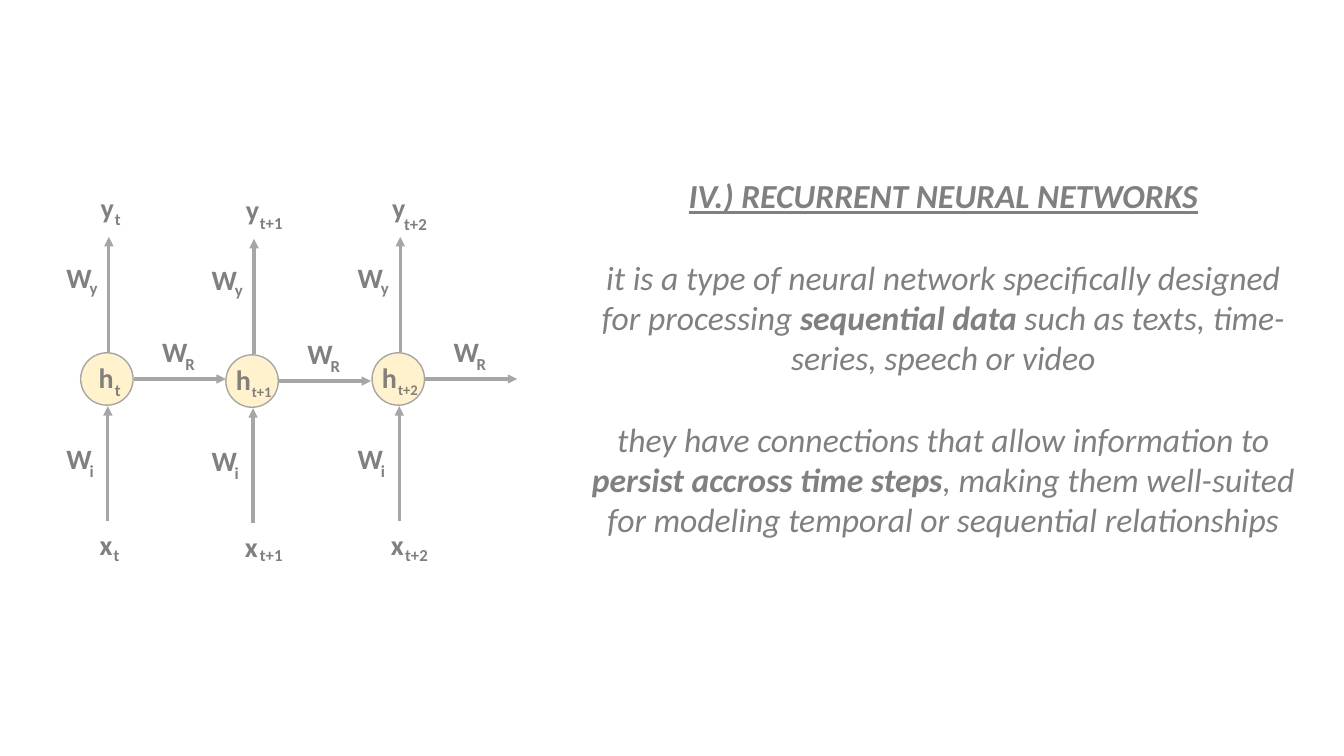
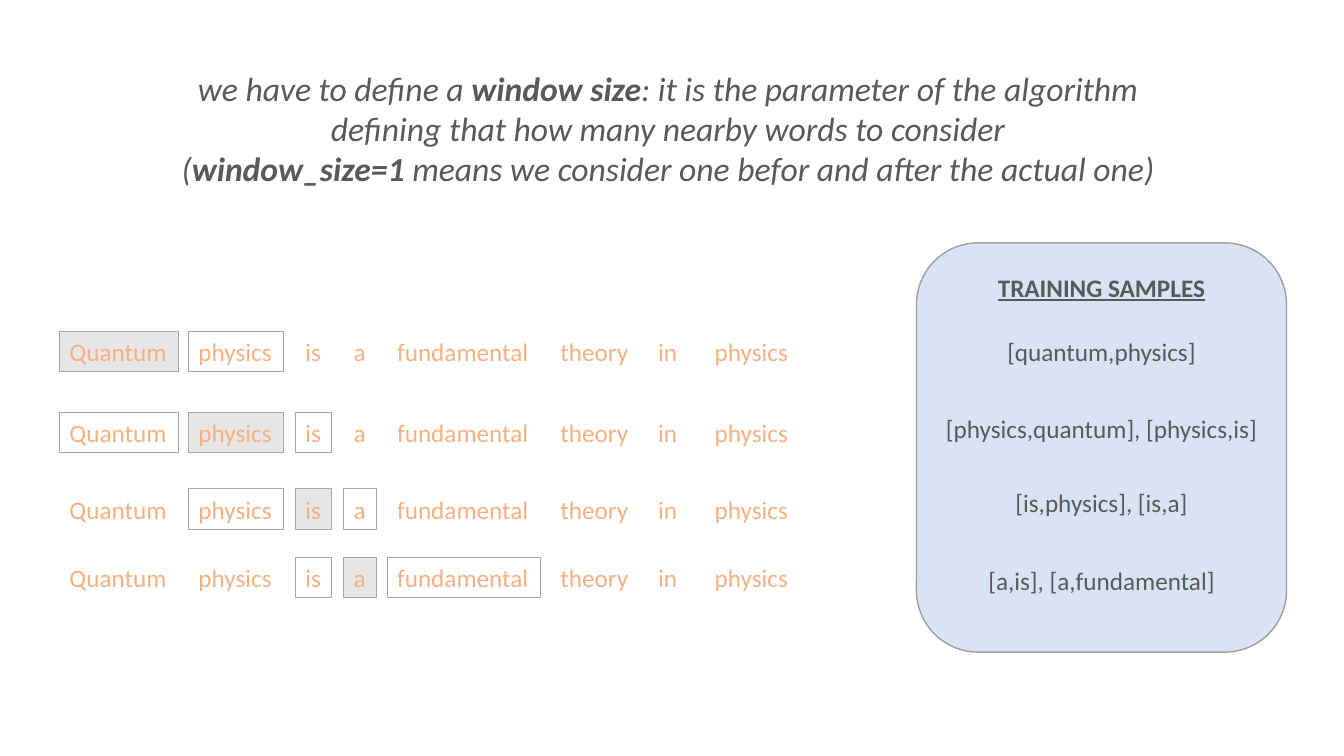
from lxml.etree import SubElement
from pptx import Presentation
from pptx.dml.color import RGBColor
from pptx.enum.shapes import MSO_CONNECTOR, MSO_SHAPE
from pptx.enum.text import MSO_ANCHOR, MSO_AUTO_SIZE, PP_ALIGN
from pptx.oxml.ns import qn
from pptx.util import Pt

PX = 9144  # EMU in one px, 100 px to the inch
GREY = RGBColor(0x80, 0x80, 0x80)
DARK = RGBColor(0x59, 0x59, 0x59)
LINE = RGBColor(0xA6, 0xA6, 0xA6)
PANEL_LINE = RGBColor(0x9F, 0x9E, 0x9C)
CREAM = RGBColor(0xFF, 0xF2, 0xCC)
PALE_BLUE = RGBColor(0xDA, 0xE3, 0xF3)
PALE_GREY = RGBColor(0xE7, 0xE6, 0xE6)
ORANGE = RGBColor(0xF4, 0xB1, 0x83)

# Widths of the text boxes around each symbol
SYMBOL_WIDTHS = {"x": 33, "h": 35, "y": 34, "W": 46}
INDEX_WIDTHS = {"t": 26, "t+1": 43, "t+2": 43, "i": 24, "y": 28, "R": 30}


class Deck:
    """Holds the shared style and the current page."""

    font = "Calibri"

    def __init__(self, width, height):
        self.deck = Presentation()
        self.deck.slide_width = width * PX
        self.deck.slide_height = height * PX
        self.page = None

    def new_page(self):
        self.page = self.deck.slides.add_slide(self.deck.slide_layouts[6])

    def put_text(self, box, paragraphs, size, color, align=PP_ALIGN.LEFT, wrap=False,
                 italic=False, gap=0):
        """Fill a box; parts between asterisks are bold."""
        frame = box.text_frame
        frame.word_wrap = wrap
        frame.auto_size = MSO_AUTO_SIZE.SHAPE_TO_FIT_TEXT
        frame.vertical_anchor = MSO_ANCHOR.TOP
        for index, text in enumerate(paragraphs):
            para = frame.add_paragraph() if index else frame.paragraphs[0]
            para.alignment = align
            if index and gap:
                para.space_before = Pt(gap)
            for part, words in enumerate(text.split("*")):
                if words:
                    span = para.add_run()
                    span.text = words
                    span.font.name = self.font
                    span.font.size = Pt(size)
                    span.font.bold = part % 2 == 1
                    span.font.italic = italic
                    span.font.color.rgb = color

    def text(self, left, top, width, height, paragraphs, size, color, **style):
        box = self.page.shapes.add_textbox(left * PX, top * PX, width * PX, height * PX)
        self.put_text(box, paragraphs, size, color, **style)
        return box

    def shape(self, kind, left, top, width, height, fill=None, line=LINE, weight=1):
        shape = self.page.shapes.add_shape(kind, left * PX, top * PX, width * PX, height * PX)
        shape.shadow.inherit = False
        if fill is None:
            shape.fill.background()
        else:
            shape.fill.solid()
            shape.fill.fore_color.rgb = fill
        shape.line.color.rgb = line
        shape.line.width = Pt(weight)
        return shape

    def arrow(self, x1, y1, x2, y2):
        arrow = self.page.shapes.add_connector(
            MSO_CONNECTOR.STRAIGHT, x1 * PX, y1 * PX, x2 * PX, y2 * PX)
        arrow.line.color.rgb = LINE
        arrow.line.width = Pt(2.25)
        properties = arrow.element.spPr
        SubElement(properties.find(qn("a:ln")), qn("a:tailEnd"), type="triangle")
        SubElement(properties, qn("a:effectLst"))

    def symbol(self, left, top, letter, index, shift, index_size=12):
        """A bold letter with its index set lower right by shift."""
        self.text(left + shift[0], top + shift[1], INDEX_WIDTHS[index], 30,
                  [f"*{index}*"], index_size, GREY)
        self.text(left, top, SYMBOL_WIDTHS[letter], 44, [f"*{letter}*"], 20, GREY)

    def underline(self, box):
        for span in box.text_frame.paragraphs[0].runs:
            span.font.underline = True

    def save(self):
        self.deck.save("out.pptx")


def network_page(deck):
    deck.new_page()

    # Explanation
    box = deck.text(574, 169, 723, 414, [
        "*IV.) RECURRENT NEURAL NETWORKS*",
        "it is a type of neural network specifically designed for processing "
        "*sequential data *such as texts, time-series, speech or video",
        "they have connections that allow information to *persist accross time steps*, "
        "making them well-suited for modeling temporal or sequential relationships",
    ], 24, GREY, align=PP_ALIGN.CENTER, wrap=True, italic=True, gap=29.3)
    deck.underline(box)

    # Time steps: node corner, index, letter inset, index shifts for x, h and y, h index size
    size, reach = 52, 114
    steps = [
        (80, 350, "t", 8, (14, 18), (16, 19), (14, 18), 12),
        (224, 352, "t+1", 0, (15, 16), (16, 20), (14, 20), 10.5),
        (369, 350, "t+2", 0, (14, 18), (16, 20), (12, 23), 10.5),
    ]
    for left, top, index, inset, x_shift, h_shift, y_shift, h_size in steps:
        center, middle = left + size // 2 + 1, top + size // 2
        right, bottom = left + size + 1, top + size + 1
        deck.shape(MSO_SHAPE.OVAL, left, top, size, size, CREAM)
        deck.arrow(center, bottom + reach, center, bottom)
        deck.arrow(center + 1, top - 1, center + 1, top - 1 - reach)
        deck.arrow(right, middle, right + 91, middle)
        deck.symbol(left + 9, top + 168, "x", index, x_shift)
        deck.symbol(left + inset, top + 3, "h", index, h_shift, h_size)
        deck.symbol(left + 10, top - 166, "y", index, y_shift)
        deck.symbol(left - 24, top + 83, "W", "i", (23, 19))
        deck.symbol(left - 24, top - 96, "W", "y", (23, 17))
        deck.symbol(left + 71, top - 23, "W", "R", (23, 19))


def window_page(deck):
    deck.new_page()

    # Training samples panel
    panel_left, panel_width = 909, 367
    deck.shape(MSO_SHAPE.ROUNDED_RECTANGLE, panel_left, 241, panel_width, 406,
               PALE_BLUE, PANEL_LINE)

    # Introduction
    deck.text(167, 62, 991, 131, [
        "we have to define a *window size*: it is the parameter of the algorithm",
        "defining that how many nearby words to consider",
        "(*window_size=1 *means we consider one befor and after the actual one)",
    ], 24, DARK, align=PP_ALIGN.CENTER, italic=True)

    # Panel text
    samples = [
        (265, "*TRAINING SAMPLES*"),
        (329, "[quantum,physics]"),
        (405, "[physics,quantum], [physics,is]"),
        (479, "[is,physics], [is,a]"),
        (556, "[a,is], [a,fundamental]"),
    ]
    boxes = [deck.text(panel_left, top, panel_width, 40, [sample], 18, DARK,
                       align=PP_ALIGN.CENTER, wrap=True) for top, sample in samples]
    deck.underline(boxes[0])

    # Sentence rows: the window moves one word on in each row
    words = [
        ("Quantum", 59, 118), ("physics", 187, 94), ("is", 293, 36), ("a", 341, 32),
        ("fundamental", 384, 152), ("theory", 546, 88), ("in", 643, 39), ("physics", 699, 94),
    ]
    for current, top in enumerate([329, 409, 485, 553]):
        for position, (word, left, width) in enumerate(words):
            distance = abs(position - current)
            if distance > 1:
                deck.text(left, top, width, 40, [word], 18, ORANGE)
            else:
                fill = PALE_GREY if distance == 0 else None
                box = deck.shape(MSO_SHAPE.RECTANGLE, left, top, width, 40, fill, weight=0.75)
                deck.put_text(box, [word], 18, ORANGE)


def main():
    deck = Deck(1333, 750)
    network_page(deck)
    window_page(deck)
    deck.save()


if __name__ == "__main__":
    main()
